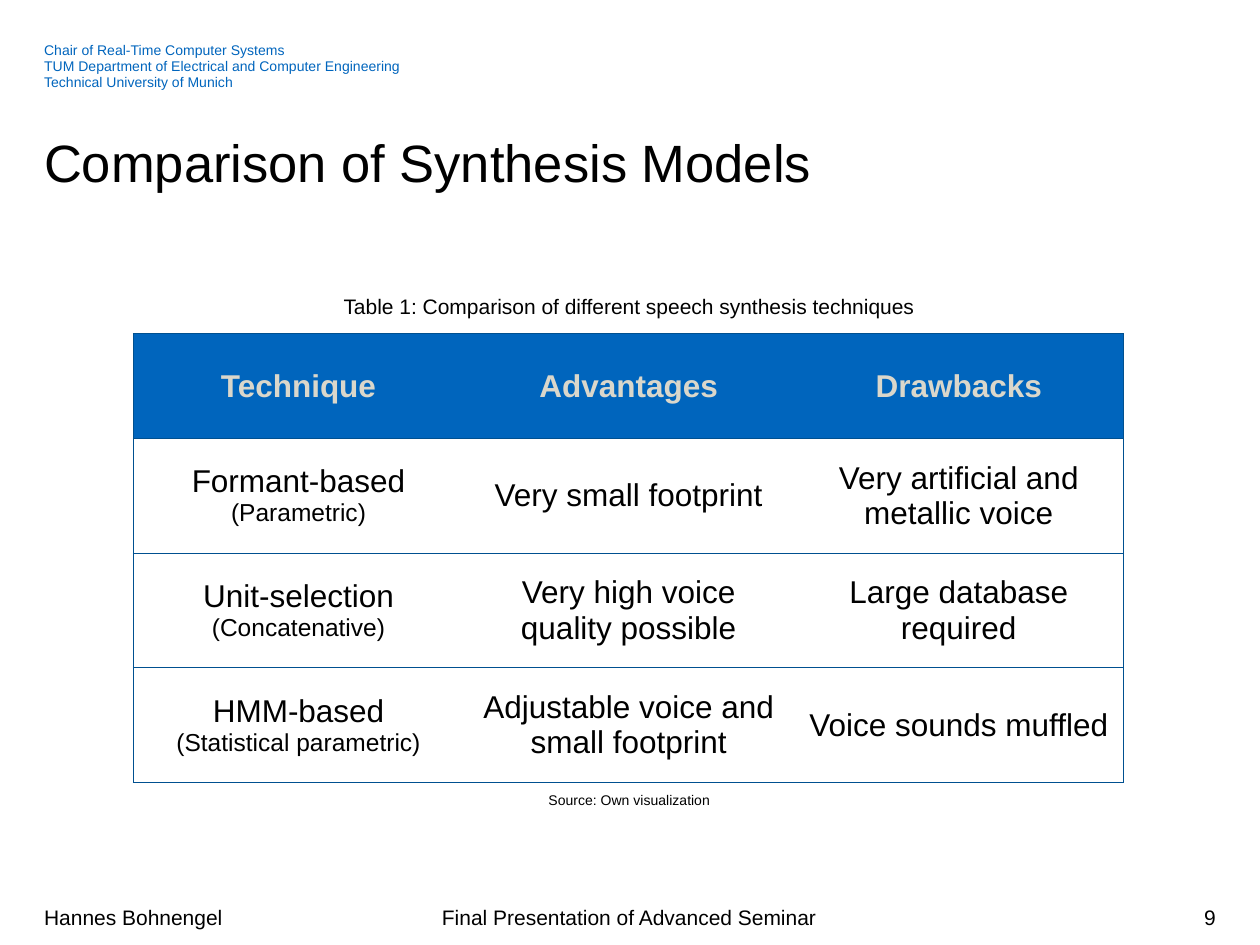
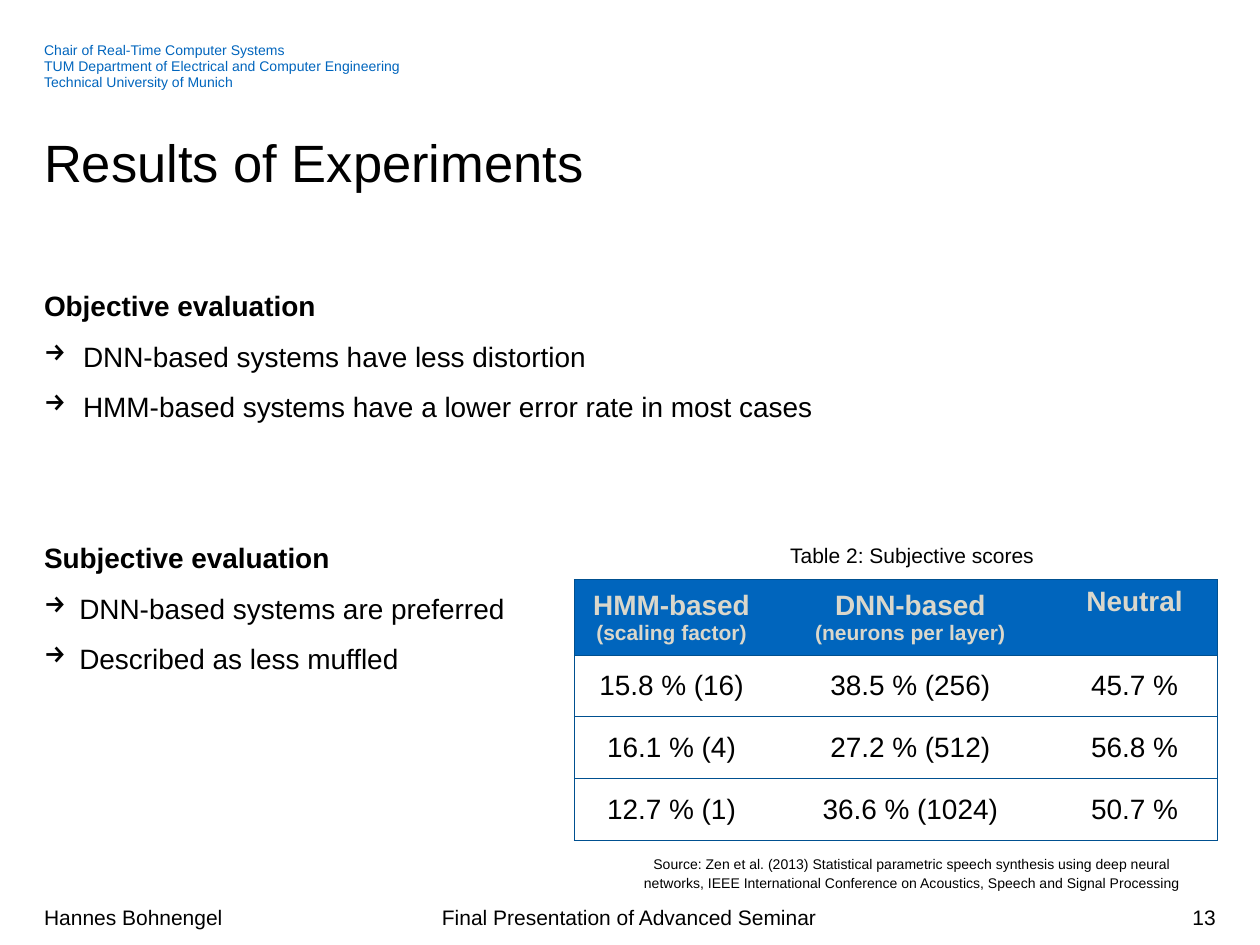
import pptx
import pptx.dml.color
import pptx.enum.text
import pptx.oxml
import pptx.oxml.ns
import pptx.util
from pptx.util import Inches

FONT = "Arial"
COLORS = {"blue": "0065BD", "border": "005090", "head_text": "DAD7CB",
          "text": "000000", "white": "FFFFFF"}
ALIGN = {"left": pptx.enum.text.PP_ALIGN.LEFT,
         "center": pptx.enum.text.PP_ALIGN.CENTER,
         "right": pptx.enum.text.PP_ALIGN.RIGHT}
TOP = pptx.enum.text.MSO_ANCHOR.TOP
MIDDLE = pptx.enum.text.MSO_ANCHOR.MIDDLE
MARGIN = 0.35
CONTENT_W = 9.3

CHAIR = ["Chair of Real-Time Computer Systems",
         "TUM Department of Electrical and Computer Engineering",
         "Technical University of Munich"]
AUTHOR = "Hannes Bohnengel"
EVENT = "Final Presentation of Advanced Seminar"

# A second line in a table cell is set smaller.
MODELS = {
    "title": "Comparison of Synthesis Models",
    "number": "9",
    "caption": "Table 1: Comparison of different speech synthesis techniques",
    "source": "Source: Own visualization",
    "rows": [
        ["Technique", "Advantages", "Drawbacks"],
        ["Formant-based\n(Parametric)", "Very small footprint",
         "Very artificial and metallic voice"],
        ["Unit-selection\n(Concatenative)", "Very high voice quality possible",
         "Large database required"],
        ["HMM-based\n(Statistical parametric)",
         "Adjustable voice and small footprint", "Voice sounds muffled"],
    ],
    "left": 1.06, "top": 2.65, "widths": [2.62, 2.62, 2.62],
    "head_h": 0.83, "row_h": 0.91, "sizes": (18, 14),
    "note_left": 1.06, "note_w": 7.87, "caption_top": 2.3, "source_top": 6.26,
}
RESULTS = {
    "title": "Results of Experiments",
    "number": "13",
    "caption": "Table 2: Subjective scores",
    "source": "Source: Zen et al. (2013) Statistical parametric speech synthesis "
              "using deep neural networks, IEEE International Conference on "
              "Acoustics, Speech and Signal Processing",
    "rows": [
        ["HMM-based\n(scaling factor)", "DNN-based\n(neurons per layer)", "Neutral"],
        ["15.8 % (16)", "38.5 % (256)", "45.7 %"],
        ["16.1 % (4)", "27.2 % (512)", "56.8 %"],
        ["12.7 % (1)", "36.6 % (1024)", "50.7 %"],
    ],
    "left": 4.56, "top": 4.6, "widths": [1.54, 2.25, 1.31],
    "head_h": 0.6, "row_h": 0.49, "sizes": (16, 12),
    "note_left": 4.97, "note_w": 4.54, "caption_top": 4.28, "source_top": 6.77,
}
# heading, space before in points, bullet indent in inches, points
FINDINGS = [
    ("Objective evaluation", 0, 0.31,
     ["DNN-based systems have less distortion",
      "HMM-based systems have a lower error rate in most cases"]),
    ("Subjective evaluation", 57.6, 0.28,
     ["DNN-based systems are preferred", "Described as less muffled"]),
]


def rgb(name):
    return pptx.dml.color.RGBColor.from_string(COLORS[name])


def add_text(tf, text, size=12, color="text", bold=False, align="left",
             spacing=None, before=0, bullet_indent=None):
    """Add one paragraph, filling the frame's first one if it is empty."""
    p = tf.paragraphs[0]
    if p.runs:
        p = tf.add_paragraph()
    p.alignment = ALIGN[align]
    p.line_spacing = spacing
    p.space_before = pptx.util.Pt(before)
    r = p.add_run()
    r.text = text
    r.font.name = FONT
    r.font.size = pptx.util.Pt(size)
    r.font.bold = bold
    r.font.color.rgb = rgb(color)
    if bullet_indent:
        pPr = p._p.get_or_add_pPr()
        pPr.set("marL", str(Inches(bullet_indent)))
        pPr.set("indent", str(-Inches(bullet_indent)))
        pPr.append(pptx.oxml.parse_xml(
            f'<a:buChar {pptx.oxml.ns.nsdecls("a")} char="→"/>'))


def set_frame(tf, anchor=TOP):
    tf.word_wrap = True
    tf.auto_size = pptx.enum.text.MSO_AUTO_SIZE.NONE
    tf.vertical_anchor = anchor
    tf.margin_left = tf.margin_right = tf.margin_top = tf.margin_bottom = 0


def add_box(s, left, top, width, height, lines=(), anchor=TOP, **fmt):
    sp = s.shapes.add_textbox(Inches(left), Inches(top), Inches(width), Inches(height))
    tf = sp.text_frame
    set_frame(tf, anchor)
    for line in lines:
        add_text(tf, line, **fmt)
    return tf


def add_slide(prs, title, number):
    """Add a slide with the shared header, title and footer."""
    s = prs.slides.add_slide(prs.slide_layouts[5])
    sp = s.shapes.title
    sp.left, sp.top = Inches(MARGIN), Inches(1.09)
    sp.width, sp.height = Inches(CONTENT_W), Inches(0.45)
    set_frame(sp.text_frame)
    add_text(sp.text_frame, title, size=30, spacing=pptx.util.Pt(32))
    add_box(s, MARGIN, 0.34, 8.42, 0.38, CHAIR, size=8, color="blue", spacing=0.94)
    for text, left, width, align in [(EVENT, 3.33, 3.33, "center"),
                                     (AUTHOR, MARGIN, 1.59, "left"),
                                     (number, 7.41, 2.24, "right")]:
        add_box(s, left, 7.08, width, 0.4, [text], anchor=MIDDLE, align=align)
    return s


def set_borders(cell, visible):
    tcPr = cell._tc.get_or_add_tcPr()
    for side in "LRTB":
        line = (f'<a:solidFill><a:srgbClr val="{COLORS["border"]}"/></a:solidFill>'
                if side in visible else "<a:noFill/>")
        tcPr.append(pptx.oxml.parse_xml(
            f'<a:ln{side} {pptx.oxml.ns.nsdecls("a")} w="9525">{line}</a:ln{side}>'))


def add_table(s, data):
    """Add a ruled table with its caption above and its source below."""
    rows, widths = data["rows"], data["widths"]
    heights = [data["head_h"]] + [data["row_h"]] * (len(rows) - 1)
    table = s.shapes.add_table(
        len(rows), len(widths), Inches(data["left"]), Inches(data["top"]),
        Inches(sum(widths)), Inches(sum(heights))).table
    table.first_row = table.horz_banding = False
    for col, width in zip(table.columns, widths):
        col.width = Inches(width)
    for i, (row, height) in enumerate(zip(rows, heights)):
        table.rows[i].height = Inches(height)
        head = i == 0
        for j, text in enumerate(row):
            cell = table.cell(i, j)
            cell.vertical_anchor = MIDDLE
            sides = "TB" + "L" * (j == 0) + "R" * (j == len(row) - 1)
            set_borders(cell, sides)
            cell.fill.solid()
            cell.fill.fore_color.rgb = rgb("blue" if head else "white")
            for line, size in zip(text.split("\n"), data["sizes"]):
                add_text(cell.text_frame, line, size=size, bold=head, align="center",
                         color="head_text" if head else "text")
    for key, height, size in [("caption", 0.23, 12), ("source", 0.29, 8)]:
        add_box(s, data["note_left"], data[key + "_top"], data["note_w"], height,
                [data[key]], size=size, align="center", spacing=1.14)
    return table


def add_findings(s):
    tf = add_box(s, MARGIN, 2.16, CONTENT_W, 4.74)
    for heading, before, indent, points in FINDINGS:
        add_text(tf, heading, size=16, bold=True, spacing=1.5, before=before)
        for point in points:
            add_text(tf, point, size=16, spacing=1.5, bullet_indent=indent)


def main():
    prs = pptx.Presentation()
    prs.slide_width, prs.slide_height = Inches(10), Inches(7.5)
    s = add_slide(prs, MODELS["title"], MODELS["number"])
    add_table(s, MODELS)
    s = add_slide(prs, RESULTS["title"], RESULTS["number"])
    add_findings(s)
    scores = add_table(s, RESULTS)
    scores.cell(0, 2).vertical_anchor = TOP
    prs.save("out.pptx")


if __name__ == "__main__":
    main()
